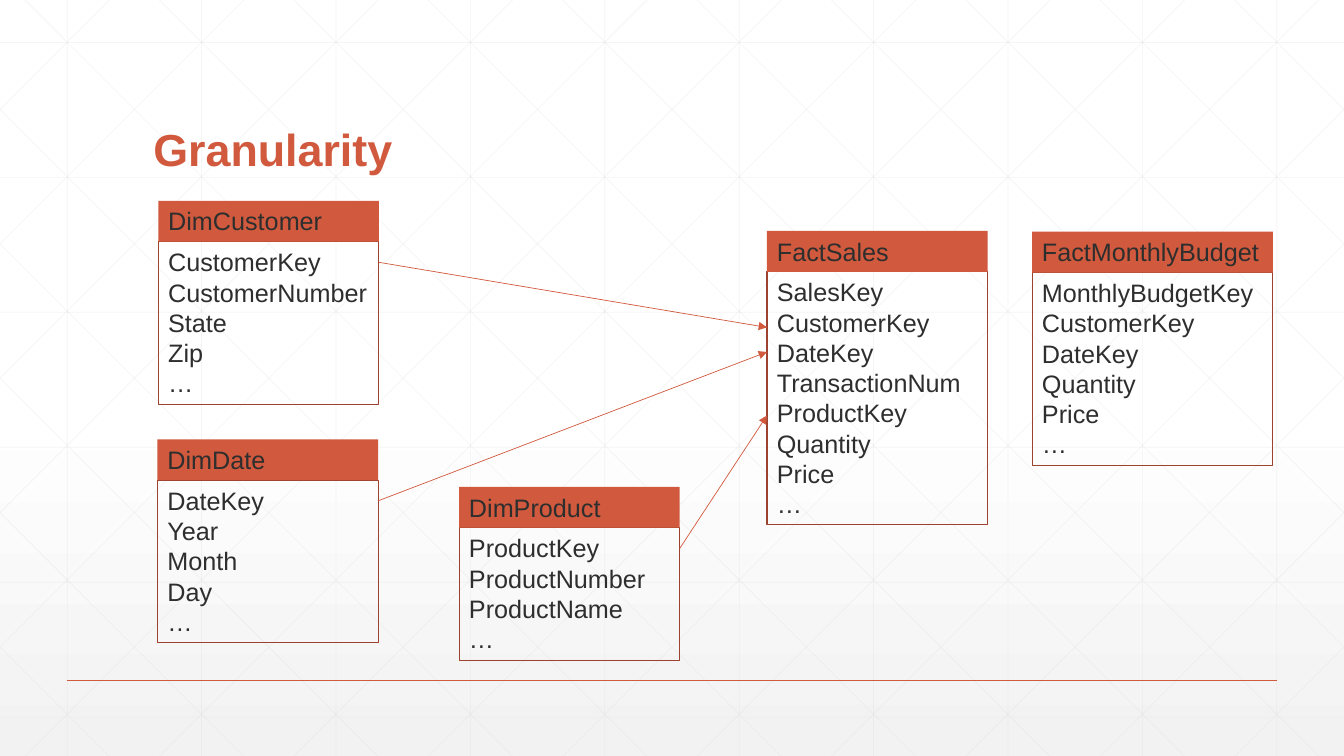
from copy import deepcopy
from dataclasses import dataclass

from lxml import etree
from pptx import Presentation
from pptx.dml.color import RGBColor
from pptx.enum.shapes import MSO_CONNECTOR, MSO_SHAPE
from pptx.enum.text import MSO_ANCHOR, MSO_AUTO_SIZE, PP_ALIGN
from pptx.oxml.ns import qn
from pptx.shapes.connector import Connector
from pptx.slide import Slide
from pptx.text.text import TextFrame
from pptx.util import Cm, Pt

STRAIGHT = MSO_CONNECTOR.STRAIGHT
RECTANGLE = MSO_SHAPE.RECTANGLE
LEFT = PP_ALIGN.LEFT
TOP, BOTTOM = MSO_ANCHOR.TOP, MSO_ANCHOR.BOTTOM
NO_AUTOFIT = MSO_AUTO_SIZE.NONE

COLORS = {
    "accent": "D15A3E",
    "border": "9B432E",
    "text": "2D2E2D",
    "grid": "D9D9D9",
    "white": "FFFFFF",
    "grey": "F2F2F2",
}
FONT = "Arial"

# Lengths in centimetres
SLIDE_W, SLIDE_H = 33.87, 19.05
GRID_STEP = SLIDE_W / 10
HEADER_H = 1.03
ROW_H, BODY_PADDING = 0.76, 0.3
KEY_OFFSET = 0.52


@dataclass
class Entity:
    name: str
    left: float
    top: float
    columns: list[str]
    width: float = 5.56

    @property
    def body_top(self) -> float:
        return self.top + HEADER_H

    @property
    def body_height(self) -> float:
        return ROW_H * len(self.columns) + BODY_PADDING


@dataclass
class Relation:
    dimension: Entity
    fact: Entity
    fact_y: float


CUSTOMER = Entity("DimCustomer", 3.99, 5.06,
                  ["CustomerKey", "CustomerNumber", "State", "Zip", "…"])
DATE = Entity("DimDate", 3.97, 11.07, ["DateKey", "Year", "Month", "Day", "…"])
PRODUCT = Entity("DimProduct", 11.57, 12.27,
                 ["ProductKey", "ProductNumber", "ProductName", "…"])
SALES = Entity("FactSales", 19.33, 5.82,
               ["SalesKey", "CustomerKey", "DateKey", "TransactionNum",
                "ProductKey", "Quantity", "Price", "…"])
BUDGET = Entity("FactMonthlyBudget", 26.01, 5.84,
                ["MonthlyBudgetKey", "CustomerKey", "DateKey", "Quantity",
                 "Price", "…"], 6.07)
ENTITIES = [CUSTOMER, DATE, SALES, PRODUCT, BUDGET]
RELATIONS = [
    Relation(CUSTOMER, SALES, 8.25),
    Relation(DATE, SALES, 8.87),
    Relation(PRODUCT, SALES, 10.47),
]


def rgb(name: str) -> RGBColor:
    return RGBColor.from_string(COLORS[name])


def apply_format(target: object, values: dict[str, object]) -> None:
    for attribute, value in values.items():
        setattr(target, attribute, value)


def paint_background(slide: Slide) -> None:
    fill = slide.background.fill
    fill.gradient()
    fill.gradient_angle = 270
    first_stop = slide.background._cSld.xpath(".//a:gs")[0]
    first_stop.addnext(deepcopy(first_stop))
    shades = [(0, "white"), (0.53, "white"), (1, "grey")]
    for stop, (position, color) in zip(fill.gradient_stops, shades):
        stop.position = position
        stop.color.rgb = rgb(color)


def add_line(slide: Slide, start: tuple[float, float], end: tuple[float, float],
             color: str, weight: float) -> Connector:
    line = slide.shapes.add_connector(STRAIGHT, *map(Cm, start + end))
    line.line.color.rgb = rgb(color)
    line.line.width = Pt(weight)
    etree.SubElement(line._element.spPr, qn("a:effectLst"))
    return line


def add_grid_line(slide: Slide, start: tuple[float, float],
                  end: tuple[float, float]) -> None:
    line = add_line(slide, start, end, "grid", 0.5)
    color = line._element.spPr.find(".//" + qn("a:srgbClr"))
    etree.SubElement(color, qn("a:alpha"), val="25000")


def add_grid(slide: Slide) -> None:
    for i in range(10):
        x = GRID_STEP * (i + 0.5)
        add_grid_line(slide, (x, 0), (x, SLIDE_H))
    for i in range(6):
        y = 1.07 + 3.4 * i
        add_grid_line(slide, (0, y), (SLIDE_W, y))
    # Diagonals, cut at the slide edges, each with its mirror line
    for i in range(-5, 10):
        x = 0.63 + GRID_STEP * i
        start_y, end_y = max(0, -x), min(SLIDE_H, SLIDE_W - x)
        start_x, end_x = x + start_y, x + end_y
        add_grid_line(slide, (start_x, start_y), (end_x, end_y))
        add_grid_line(slide, (SLIDE_W - start_x, start_y),
                      (SLIDE_W - end_x, end_y))


def write_lines(frame: TextFrame, lines: list[str], size: float, color: str,
                bold: bool, anchor: MSO_ANCHOR, spacing: float) -> None:
    apply_format(frame, {"text": "\n".join(lines), "word_wrap": True,
                         "auto_size": NO_AUTOFIT, "vertical_anchor": anchor})
    for paragraph in frame.paragraphs:
        apply_format(paragraph, {"alignment": LEFT, "line_spacing": spacing})
        for run in paragraph.runs:
            apply_format(run.font, {"name": FONT, "size": Pt(size), "bold": bold})
            run.font.color.rgb = rgb(color)


def add_box(slide: Slide, entity: Entity, top: float, height: float,
            lines: list[str], is_header: bool) -> None:
    box = slide.shapes.add_shape(RECTANGLE, Cm(entity.left), Cm(top),
                                 Cm(entity.width), Cm(height))
    box.shadow.inherit = False
    if is_header:
        box.fill.solid()
        box.fill.fore_color.rgb = rgb("accent")
        box.line.fill.background()
    else:
        box.fill.background()
        box.line.color.rgb = rgb("border")
        box.line.width = Pt(0.75)
    write_lines(box.text_frame, lines, 18, "text", False, TOP, 1.0)


def add_entity(slide: Slide, entity: Entity) -> None:
    add_box(slide, entity, entity.body_top, entity.body_height,
            entity.columns, False)
    add_box(slide, entity, entity.top, HEADER_H, [entity.name], True)


def add_relation(slide: Slide, relation: Relation) -> None:
    dimension = relation.dimension
    start = (dimension.left + dimension.width, dimension.body_top + KEY_OFFSET)
    arrow = add_line(slide, start, (relation.fact.left, relation.fact_y),
                     "accent", 0.5)
    etree.SubElement(arrow.line._get_or_add_ln(), qn("a:tailEnd"),
                     type="triangle")


def main() -> None:
    deck = Presentation()
    apply_format(deck, {"slide_width": Cm(SLIDE_W), "slide_height": Cm(SLIDE_H)})
    slide = deck.slides.add_slide(deck.slide_layouts[5])

    # Backdrop
    paint_background(slide)
    add_grid(slide)
    add_line(slide, (1.69, 17.15), (32.18, 17.15), "accent", 1)

    # Title, in front of the grid
    title = slide.shapes.title
    apply_format(title, {"left": Cm(3.61), "top": Cm(1.4),
                         "width": Cm(26.67), "height": Cm(3.18)})
    write_lines(title.text_frame, ["Granularity"], 32, "accent", True, BOTTOM, 0.9)
    slide.shapes._spTree.append(title._element)

    # Star schema
    for entity in ENTITIES:
        add_entity(slide, entity)
    for relation in RELATIONS:
        add_relation(slide, relation)

    deck.save("out.pptx")


if __name__ == "__main__":
    main()
